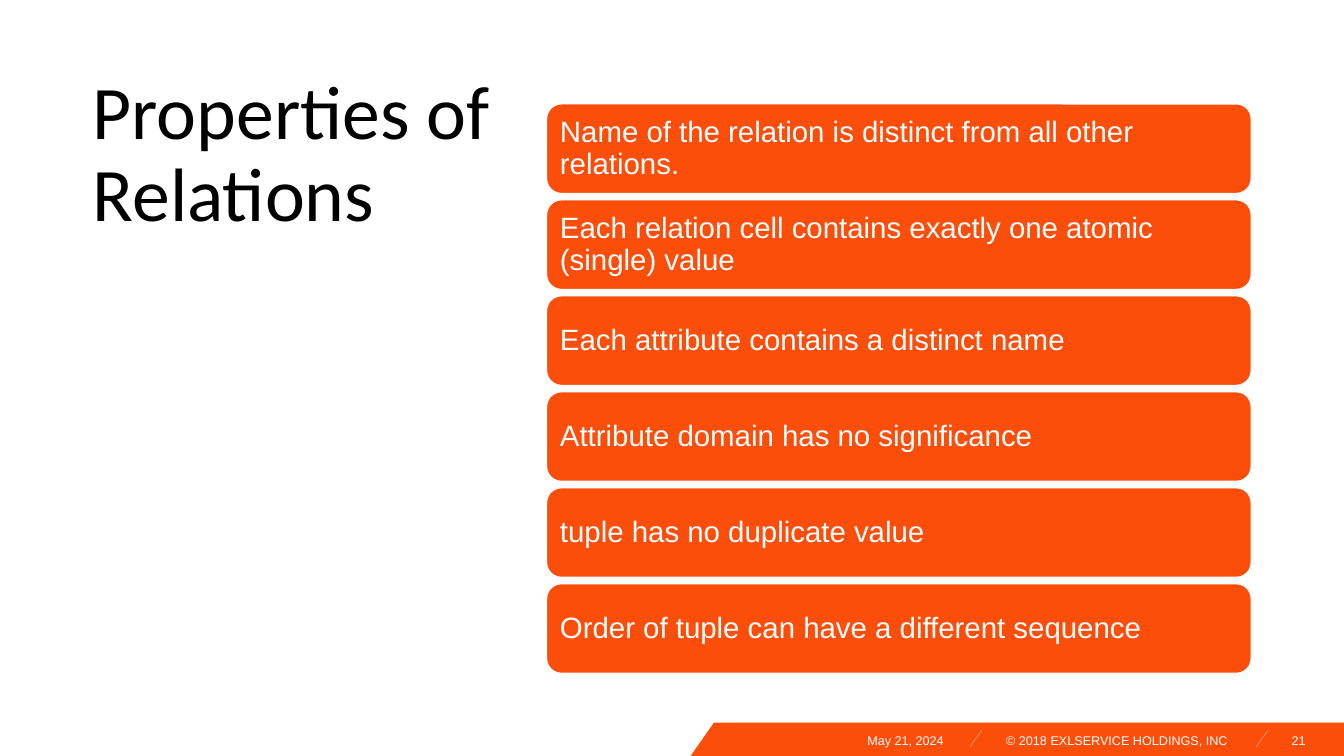
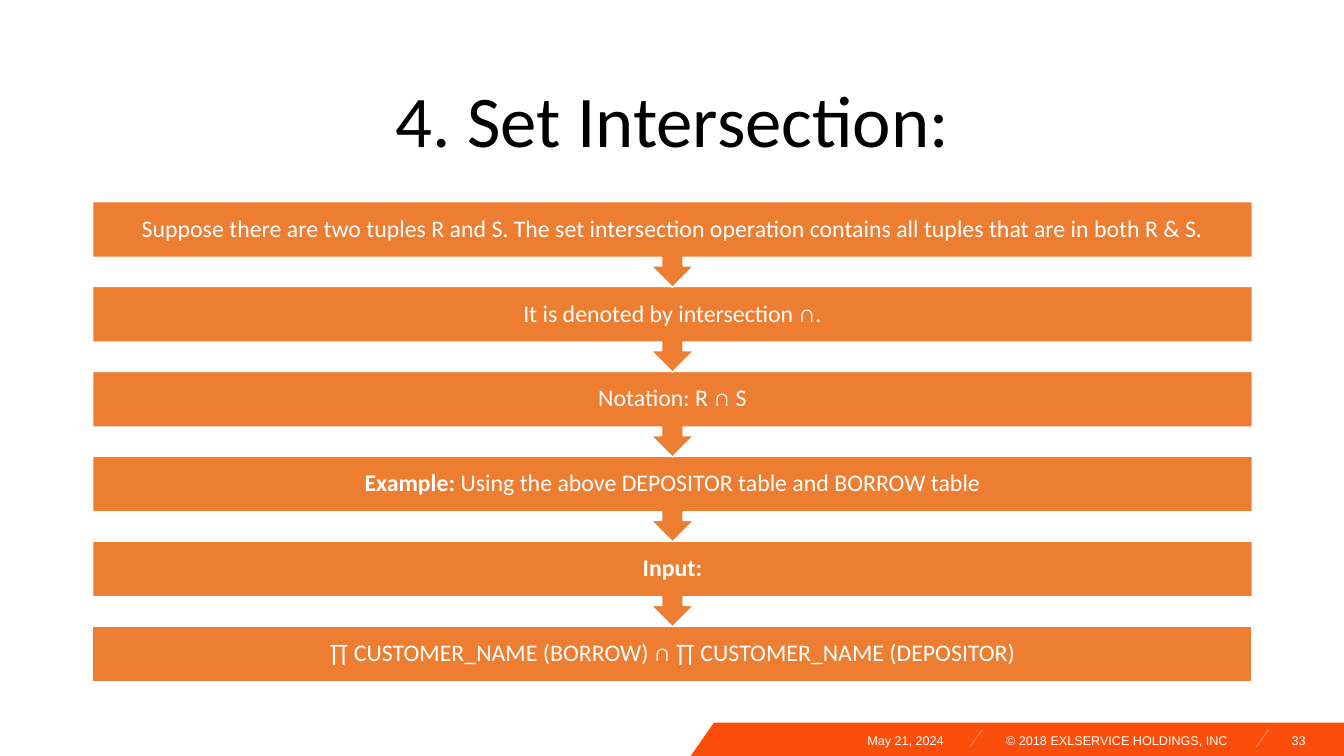
from dataclasses import dataclass

from lxml import etree
from pptx import Presentation
from pptx.dml.color import RGBColor
from pptx.enum.shapes import MSO_CONNECTOR, MSO_SHAPE
from pptx.enum.text import MSO_ANCHOR, PP_ALIGN
from pptx.oxml.ns import qn
from pptx.util import Inches, Pt

LEFT, CENTER, RIGHT = PP_ALIGN.LEFT, PP_ALIGN.CENTER, PP_ALIGN.RIGHT
TOP, MIDDLE = MSO_ANCHOR.TOP, MSO_ANCHOR.MIDDLE
ROUNDED, RECTANGLE = MSO_SHAPE.ROUNDED_RECTANGLE, MSO_SHAPE.RECTANGLE
DOWN_CALLOUT = MSO_SHAPE.DOWN_ARROW_CALLOUT
STRAIGHT = MSO_CONNECTOR.STRAIGHT

BLACK = RGBColor(0x00, 0x00, 0x00)
WHITE = RGBColor(0xFF, 0xFF, 0xFF)
BRAND_ORANGE = RGBColor(0xFB, 0x4E, 0x0B)
PALE_ORANGE = RGBColor(0xFC, 0x94, 0x6B)
STEP_ORANGE = RGBColor(0xED, 0x7D, 0x31)

SLIDE_WIDTH, SLIDE_HEIGHT = 13.33, 7.5
BODY_SPACING = 0.9


@dataclass(frozen=True)
class Area:
    left: float
    top: float
    width: float
    height: float

    def lengths(self) -> tuple:
        return tuple(Inches(n) for n in (self.left, self.top, self.width, self.height))


@dataclass(frozen=True)
class Step:
    text: str
    lead: str = ""


@dataclass(frozen=True)
class FooterEntry:
    text: str
    area: Area
    align: PP_ALIGN


PROPERTIES = (
    "Name of the relation is distinct from all other relations.",
    "Each relation cell contains exactly one atomic (single) value",
    "Each attribute contains a distinct name",
    "Attribute domain has no significance",
    "tuple has no duplicate value",
    "Order of tuple can have a different sequence",
)

INTERSECTION_STEPS = (
    Step("Suppose there are two tuples R and S. The set intersection operation "
         "contains all tuples that are in both R & S."),
    Step("It is denoted by intersection ∩."),
    Step("Notation: R ∩ S"),
    Step(" Using the above DEPOSITOR table and BORROW table", lead="Example:"),
    Step("", lead="Input:"),
    Step("∏ CUSTOMER_NAME (BORROW) ∩ ∏ CUSTOMER_NAME (DEPOSITOR)"),
)


def write_text(frame, text: str, *, size: float, font: str, color: RGBColor,
               align: PP_ALIGN = LEFT, anchor: MSO_ANCHOR = TOP, inset: float = 0,
               spacing: float = 1.0, lead: str = "") -> None:
    frame.word_wrap = True
    frame.vertical_anchor = anchor
    frame.margin_left = frame.margin_right = Inches(inset)
    frame.margin_top = frame.margin_bottom = Inches(inset)
    paragraph = frame.paragraphs[0]
    paragraph.alignment = align
    paragraph.line_spacing = spacing
    for words, bold in ((lead, True), (text, False)):
        if words:
            run = paragraph.add_run()
            run.text = words
            run.font.name = font
            run.font.size = Pt(size)
            run.font.bold = bold
            run.font.color.rgb = color


def add_text(slide, area: Area, text: str, **text_format) -> None:
    write_text(slide.shapes.add_textbox(*area.lengths()).text_frame, text, **text_format)


def add_title(slide, area: Area, text: str, size: float, **text_format) -> None:
    add_text(slide, area, text, size=size, font="Calibri", color=BLACK,
             spacing=BODY_SPACING, **text_format)


def add_panel(slide, preset: MSO_SHAPE, area: Area, fill: RGBColor, text: str,
              **text_format) -> None:
    panel = slide.shapes.add_shape(preset, *area.lengths())
    panel.shadow.inherit = False
    panel.fill.solid()
    panel.fill.fore_color.rgb = fill
    panel.line.color.rgb = WHITE
    panel.line.width = Pt(1)
    write_text(panel.text_frame, text, color=WHITE, anchor=MIDDLE,
               spacing=BODY_SPACING, **text_format)


def add_footer(slide, number: int) -> None:
    band_top, slant_left, slant_right = 7.17, 6.85, 7.08
    outline = slide.shapes.build_freeform(Inches(slant_right), Inches(band_top))
    corners = ((SLIDE_WIDTH, band_top), (SLIDE_WIDTH, SLIDE_HEIGHT),
               (slant_left, SLIDE_HEIGHT))
    outline.add_line_segments([(Inches(x), Inches(y)) for x, y in corners], close=True)
    band = outline.convert_to_shape()
    band.shadow.inherit = False
    band.fill.solid()
    band.fill.fore_color.rgb = BRAND_ORANGE
    band.line.fill.background()

    for right in (9.74, 12.58):
        divider = slide.shapes.add_connector(
            STRAIGHT, Inches(right), Inches(7.24), Inches(right - 0.12), Inches(7.41))
        divider.line.color.rgb = PALE_ORANGE
        divider.line.width = Pt(0.5)
        etree.SubElement(divider._element.spPr, qn("a:effectLst"))

    entries = (
        FooterEntry("May 21, 2024", Area(7.09, 7.27, 2.27, 0.15), RIGHT),
        FooterEntry("© 2018 EXLSERVICE HOLDINGS, INC", Area(9.98, 7.27, 2.27, 0.15), LEFT),
        FooterEntry(str(number), Area(12.58, 7.27, 0.37, 0.15), RIGHT),
    )
    for entry in entries:
        add_text(slide, entry.area, entry.text, size=9, font="Arial", color=WHITE,
                 align=entry.align)


def new_slide(deck, number: int):
    slide = deck.slides.add_slide(deck.slide_layouts[6])
    add_footer(slide, number)
    return slide


def add_properties_slide(deck) -> None:
    slide = new_slide(deck, 21)
    add_title(slide, Area(0.92, 0.74, 3.99, 2.64), "Properties of Relations", 54)
    first_top, last_top = 1.03, 5.79
    pitch = (last_top - first_top) / (len(PROPERTIES) - 1)
    for row, text in enumerate(PROPERTIES):
        add_panel(slide, ROUNDED, Area(5.42, first_top + row * pitch, 6.99, 0.89),
                  BRAND_ORANGE, text, size=21, font="Arial", inset=0.09)


def add_intersection_slide(deck) -> None:
    slide = new_slide(deck, 33)
    add_title(slide, Area(0.92, 0.61, 11.5, 1.24), "4. Set Intersection:", 52,
              align=CENTER, anchor=MIDDLE)
    first_top, last_top = 2.0, 6.21
    last_row = len(INTERSECTION_STEPS) - 1
    pitch = (last_top - first_top) / last_row
    for row, step in reversed(list(enumerate(INTERSECTION_STEPS))):
        preset, height = (RECTANGLE, 0.55) if row == last_row else (DOWN_CALLOUT, 0.85)
        add_panel(slide, preset, Area(0.92, first_top + row * pitch, 11.5, height),
                  STEP_ORANGE, step.text, lead=step.lead, size=17, font="Calibri",
                  align=CENTER, inset=0.13)


def main() -> None:
    deck = Presentation()
    deck.slide_width = Inches(SLIDE_WIDTH)
    deck.slide_height = Inches(SLIDE_HEIGHT)
    add_properties_slide(deck)
    add_intersection_slide(deck)
    deck.save("out.pptx")


if __name__ == "__main__":
    main()
